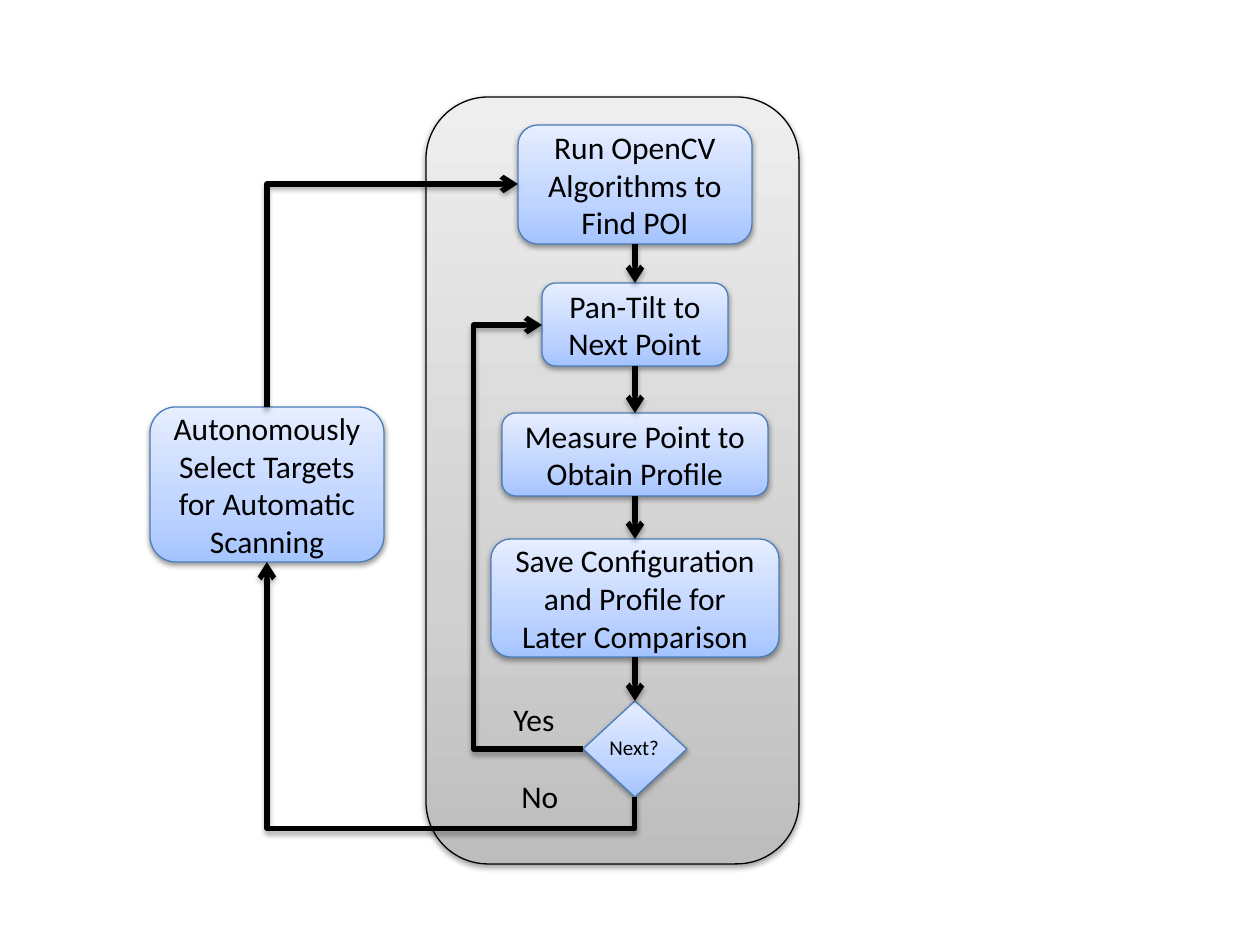
from lxml.etree import SubElement
from pptx import Presentation
from pptx.dml.color import RGBColor
from pptx.enum.shapes import MSO_CONNECTOR, MSO_SHAPE
from pptx.enum.text import MSO_ANCHOR, PP_ALIGN
from pptx.oxml.ns import qn
from pptx.util import Emu, Pt

PX = 914400 // 126
FONT = "Calibri"
BLACK = "000000"
BLUE_EDGE = "4B7EBC"
GRAY_STOPS = [(0, "BDBDBD"), (35, "D1D1D1"), (100, "EEEEEE")]
BLUE_STOPS = [(0, "A4C4FF"), (35, "BFD4FF"), (100, "E6EEFF")]

LOOP_PANEL = (426, 97, 373, 767)
SELECT_TARGETS = ("Autonomously Select Targets for Automatic Scanning", (150, 407, 234, 155))

FLOW_CENTER = 635
FLOW_STEPS = [  # text, top, width, height
    ("Run OpenCV Algorithms to Find POI", 125, 234, 119),
    ("Pan-Tilt to Next Point", 283, 186, 83),
    ("Measure Point to Obtain Profile", 413, 266, 83),
    ("Save Configuration and Profile for Later Comparison", 539, 288, 118),
]
DECISION = (701, 104, 96)  # top, width, height
LABELS = [
    ("Next?", (597, 728, 76, 38), 12),
    ("No", (509, 771, 66, 50), 18),
    ("Yes", (501, 694, 69, 50), 18),
]
ELBOWS = [  # preset, start, end, rotation, flips, bend in 1/100000
    ("bentConnector2", (267, 407), (518, 184), 90, ("flipH", "flipV"), None),
    ("bentConnector3", (583, 749), (542, 325), 180, (), 267300),
    ("bentConnector3", (635, 797), (267, 562), 90, ("flipH",), -13400),
]


def color(hex_code):
    return RGBColor.from_string(hex_code)


def emu(lengths):
    return [Emu(round(length * PX)) for length in lengths]


def centered(top, width, height):
    return FLOW_CENTER - width // 2, top, width, height


def add_shadow(effects, distance, opacity):
    shadow = SubElement(effects, qn("a:outerShdw"), blurRad="40000", dist=str(distance),
                        dir="5400000", rotWithShape="0")
    tint = SubElement(shadow, qn("a:srgbClr"), val=BLACK)
    SubElement(tint, qn("a:alpha"), val=str(opacity * 1000))


def write(shape, text, size=18, align=PP_ALIGN.CENTER, anchor=MSO_ANCHOR.MIDDLE, wrap=True):
    frame = shape.text_frame
    frame.word_wrap = wrap
    frame.vertical_anchor = anchor
    paragraph = frame.paragraphs[0]
    paragraph.alignment = align
    run = paragraph.add_run()
    run.text = text
    run.font.name = FONT
    run.font.size = Pt(size)
    run.font.color.rgb = color(BLACK)


def add_block(slide, preset, box, stops=BLUE_STOPS, edge=BLUE_EDGE, text=None):
    block = slide.shapes.add_shape(preset, *emu(box))
    block.fill.gradient()
    block.fill.gradient_angle = 90
    properties = block._element.spPr
    stop_list = properties.find(qn("a:gradFill")).find(qn("a:gsLst"))
    stop_list.clear()
    for position, hex_code in stops:
        stop = SubElement(stop_list, qn("a:gs"), pos=str(position * 1000))
        SubElement(stop, qn("a:srgbClr"), val=hex_code)
    block.line.color.rgb = color(edge)
    block.line.width = Pt(0.75)
    block.shadow.inherit = False
    add_shadow(properties.find(qn("a:effectLst")), 20000, 38)
    if text:
        write(block, text)
    return block


def style_arrow(arrow):
    arrow.line.color.rgb = color(BLACK)
    arrow.line.width = Pt(3)
    properties = arrow._element.spPr
    SubElement(properties.find(qn("a:ln")), qn("a:tailEnd"), type="arrow")
    add_shadow(SubElement(properties, qn("a:effectLst")), 23000, 35)


def join_down(slide, upper, lower):
    arrow = slide.shapes.add_connector(MSO_CONNECTOR.STRAIGHT, 0, 0, 0, 0)
    arrow.begin_connect(upper, 2)
    arrow.end_connect(lower, 0)
    style_arrow(arrow)


def add_elbow(slide, preset, start, end, rotation, flips, bend):
    """Place the unrotated frame about the midpoint, then turn it."""
    width, height = abs(end[0] - start[0]), abs(end[1] - start[1])
    if rotation == 90:
        width, height = height, width
    left = (start[0] + end[0] - width) / 2
    top = (start[1] + end[1] - height) / 2
    arrow = slide.shapes.add_connector(
        MSO_CONNECTOR.ELBOW, *emu((left, top, left + width, top + height)))
    properties = arrow._element.spPr
    frame = properties.find(qn("a:xfrm"))
    frame.set("rot", str(rotation * 60000))
    for flip in flips:
        frame.set(flip, "1")
    geometry = properties.find(qn("a:prstGeom"))
    geometry.set("prst", preset)
    if bend is not None:
        adjustments = geometry.find(qn("a:avLst"))
        SubElement(adjustments, qn("a:gd"), name="adj1", fmla=f"val {bend}")
    style_arrow(arrow)


def main():
    deck = Presentation()
    deck.slide_width, deck.slide_height = emu((1260, 945))
    slide = deck.slides.add_slide(deck.slide_layouts[6])

    add_block(slide, MSO_SHAPE.ROUNDED_RECTANGLE, LOOP_PANEL, GRAY_STOPS, BLACK)
    select_text, select_box = SELECT_TARGETS
    add_block(slide, MSO_SHAPE.ROUNDED_RECTANGLE, select_box, text=select_text)
    flow = [add_block(slide, MSO_SHAPE.ROUNDED_RECTANGLE, centered(*place), text=text)
            for text, *place in FLOW_STEPS]
    flow.append(add_block(slide, MSO_SHAPE.DIAMOND, centered(*DECISION)))

    for upper, lower in zip(flow, flow[1:]):
        join_down(slide, upper, lower)
    for elbow in ELBOWS:
        add_elbow(slide, *elbow)
    for text, box, size in LABELS:
        label = slide.shapes.add_textbox(*emu(box))
        write(label, text, size, PP_ALIGN.LEFT, MSO_ANCHOR.TOP, wrap=False)

    deck.save("out.pptx")


if __name__ == "__main__":
    main()
